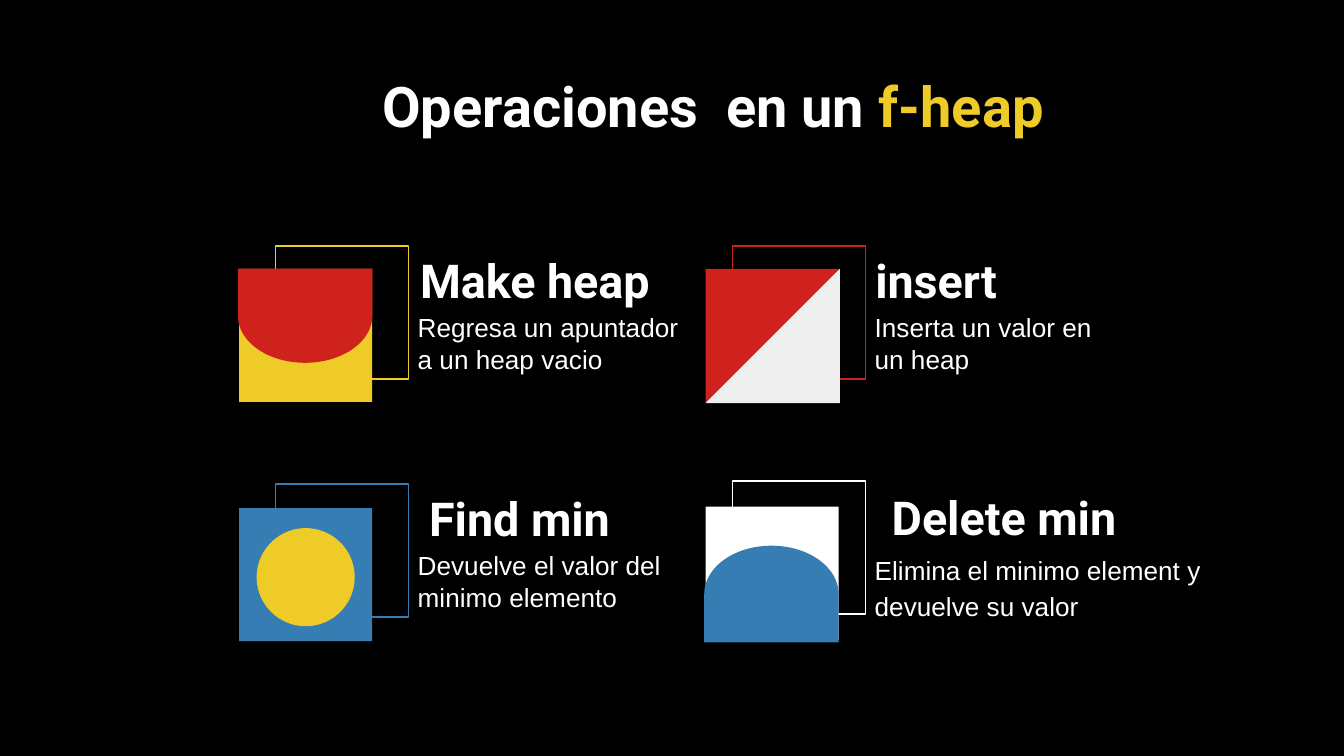
from dataclasses import dataclass

from pptx import Presentation
from pptx import util as u
from pptx.dml.color import RGBColor
from pptx.enum import shapes, text

SHAPE = shapes.MSO_SHAPE
ALIGN = text.PP_ALIGN


@dataclass(frozen=True)
class Theme:
    black: str = "000000"
    white: str = "FFFFFF"
    grey: str = "EEEEEE"
    yellow: str = "EFCB27"
    red: str = "D0221C"
    blue: str = "357DB2"
    head_font: str = "Roboto"
    body_font: str = "Arial"
    title_size: int = 30
    head_size: int = 25
    body_size: int = 14


T = Theme()
WIDTH = 10
HEIGHT = WIDTH * 9 / 16
TILE = 0.99  # side of every square

# Each operation: tile corner, frame corner, tile colour,
# inner motif (shape, box, rotation, colour), heading and description
OPERATIONS = [
    dict(tile=(1.78, 2), frame=(2.05, 1.83), color=T.yellow,
         motif=(SHAPE.FLOWCHART_DELAY, (1.92, 1.85, 0.7, 1), 90, T.red),
         head=("Make heap", (2.91, 1.81, 2.14, 0.54)),
         body=("Regresa un apuntador a un heap vacio", (3.01, 2.22, 2.17, 0.59))),
    dict(tile=(5.25, 2), frame=(5.45, 1.83), color=T.red,
         motif=(SHAPE.RIGHT_TRIANGLE, (5.25, 2, 1, 1), 270, T.grey),
         head=("insert", (6.3, 1.83, 1.33, 0.5)),
         body=("Inserta un valor en un heap", (6.41, 2.22, 2, 0.59))),
    dict(tile=(1.78, 3.78), frame=(2.05, 3.6), color=T.blue,
         motif=(SHAPE.OVAL, (1.91, 3.93, 0.73, 0.73), 0, T.yellow),
         head=("Find min", (2.97, 3.58, 1.79, 0.54)),
         body=("Devuelve el valor del minimo elemento", (3.01, 3.99, 2.17, 0.85))),
    dict(tile=(5.25, 3.77), frame=(5.45, 3.58), color=T.white,
         motif=(SHAPE.FLOWCHART_DELAY, (5.38, 3.92, 0.72, 1), 270, T.blue),
         head=("Delete min", (6.47, 3.55, 2, 0.59)),
         body=("Elimina el minimo element y devuelve su valor", (6.41, 3.99, 2.85, 0.73)),
         spacing=1.15),
]


def inches(box):
    return [u.Inches(v) for v in box]


def add_shape(s, kind, box, fill=None, line=None, rotation=0):
    """Preset shape with a solid fill or a thin outline."""
    sp = s.shapes.add_shape(kind, *inches(box))
    sp.shadow.inherit = False
    sp.rotation = rotation
    if fill:
        sp.fill.solid()
        sp.fill.fore_color.rgb = RGBColor.from_string(fill)
    else:
        sp.fill.background()
    if line:
        sp.line.color.rgb = RGBColor.from_string(line)
        sp.line.width = u.Pt(0.75)
    else:
        sp.line.fill.background()


def write(sp, runs, font, size, bold=False, align=ALIGN.LEFT,
          anchor=text.MSO_ANCHOR.TOP, spacing=1.0):
    """Fill a text holder with one paragraph of (text, colour) runs."""
    tf = sp.text_frame
    frame = dict(word_wrap=True, auto_size=text.MSO_AUTO_SIZE.NONE,
                 vertical_anchor=anchor)
    for side in ("left", "top", "right", "bottom"):
        frame[f"margin_{side}"] = u.Inches(0.1)
    for name, value in frame.items():
        setattr(tf, name, value)
    p = tf.paragraphs[0]
    for name, value in dict(alignment=align, line_spacing=spacing).items():
        setattr(p, name, value)
    for words, color in runs:
        r = p.add_run()
        r.text = words
        for name, value in dict(name=font, size=u.Pt(size), bold=bold).items():
            setattr(r.font, name, value)
        r.font.color.rgb = RGBColor.from_string(color)


def write_heading(sp, runs, size):
    write(sp, runs, T.head_font, size, bold=True, align=ALIGN.CENTER,
          anchor=text.MSO_ANCHOR.MIDDLE)


def add_title(s):
    sp = s.shapes.title
    sp.left, sp.top, sp.width, sp.height = inches((2.27, 0.42, 6.07, 0.73))
    write_heading(sp, [("Operaciones  en un ", T.white), ("f-heap", T.yellow)],
                  T.title_size)


def add_icon(s, op):
    add_shape(s, SHAPE.RECTANGLE, (*op["frame"], TILE, TILE), line=op["color"])
    add_shape(s, SHAPE.RECTANGLE, (*op["tile"], TILE, TILE), fill=op["color"])
    kind, box, rotation, color = op["motif"]
    add_shape(s, kind, box, fill=color, rotation=rotation)


def add_caption(s, op):
    words, box = op["head"]
    write_heading(s.shapes.add_textbox(*inches(box)), [(words, T.white)], T.head_size)
    words, box = op["body"]
    write(s.shapes.add_textbox(*inches(box)), [(words, T.white)], T.body_font,
          T.body_size, spacing=op.get("spacing", 1.0))


def main():
    prs = Presentation()
    prs.slide_width, prs.slide_height = inches((WIDTH, HEIGHT))
    s = prs.slides.add_slide(prs.slide_layouts[5])

    # Background
    s.background.fill.solid()
    s.background.fill.fore_color.rgb = RGBColor.from_string(T.black)

    # Title and the four operations
    add_title(s)
    for op in OPERATIONS:
        add_icon(s, op)
        add_caption(s, op)

    prs.save("out.pptx")


if __name__ == "__main__":
    main()
